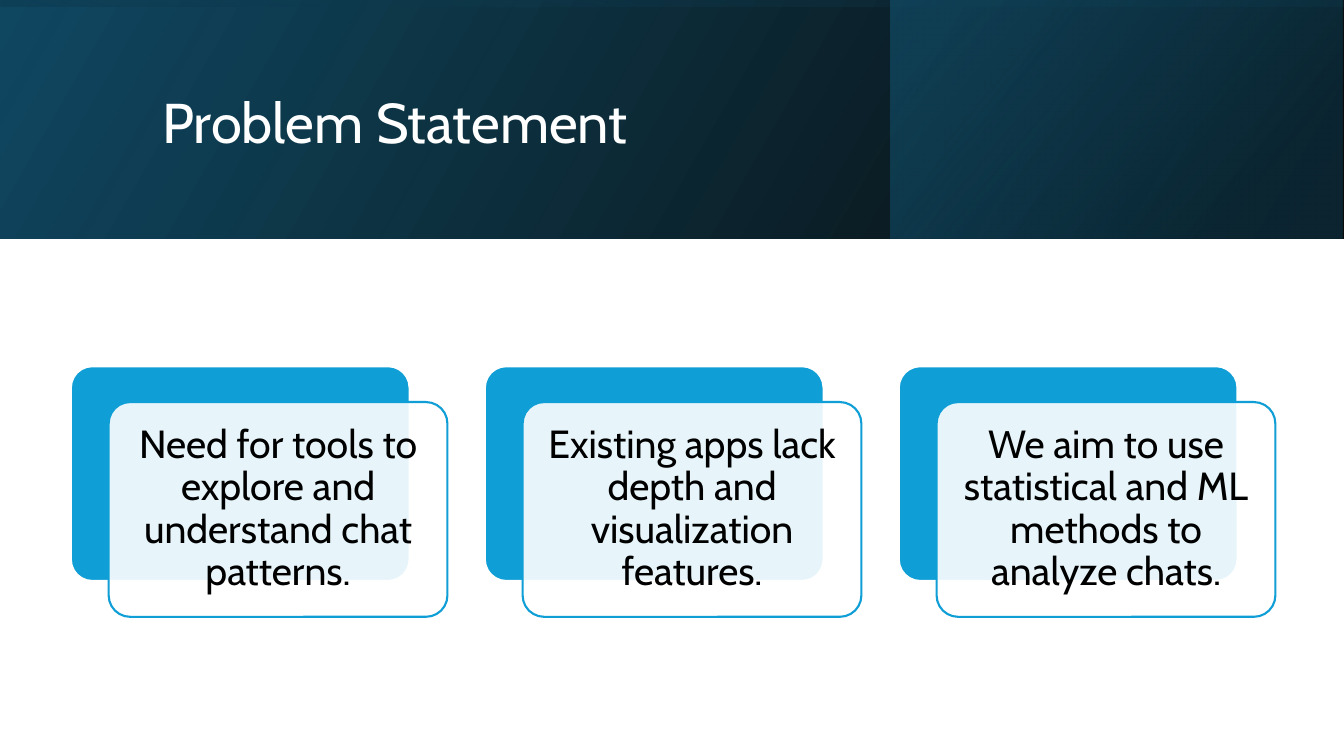
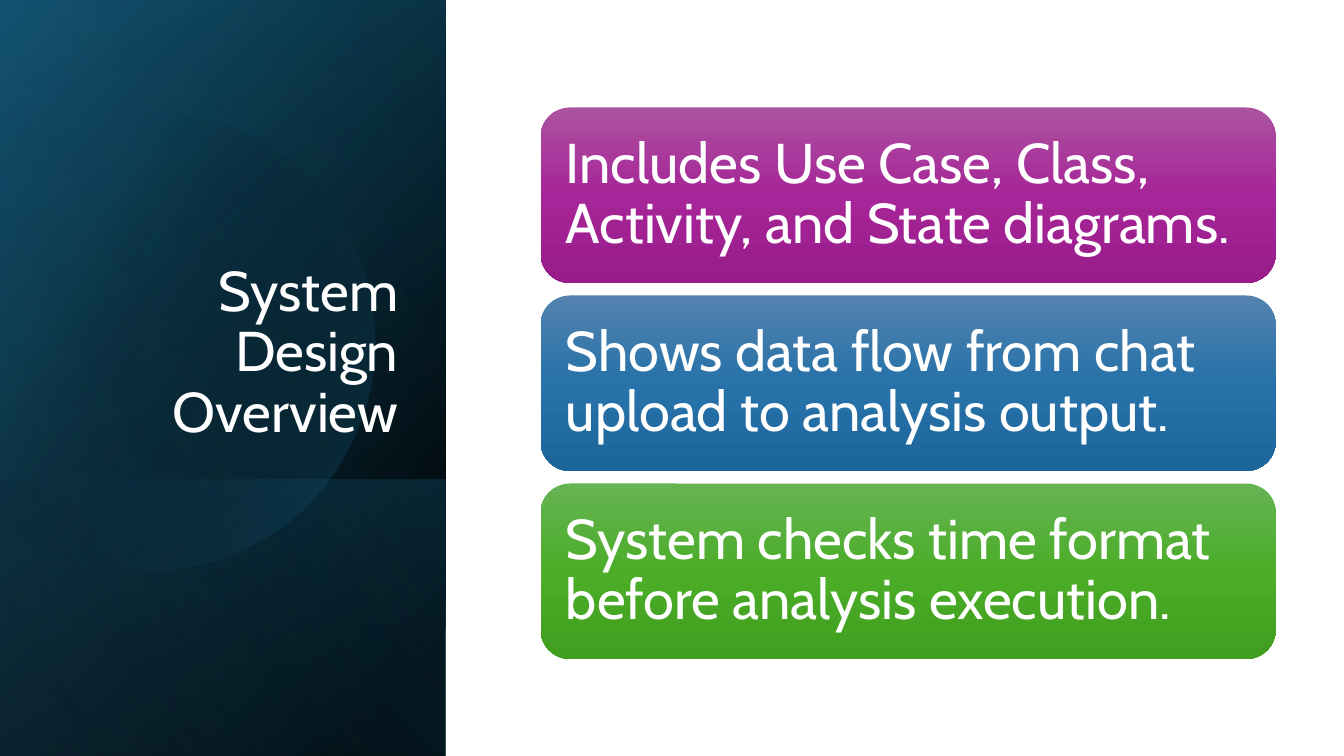
from lxml.etree import SubElement
from pptx import Presentation
from pptx.dml.color import RGBColor
from pptx.enum.shapes import MSO_SHAPE
from pptx.enum.text import MSO_ANCHOR, MSO_AUTO_SIZE, PP_ALIGN
from pptx.oxml.ns import qn
from pptx.util import Pt

SLIDE_W, SLIDE_H = 960, 540
FONT = "Cabin"
WHITE, BLACK, SKY = "FFFFFF", "000000", "0F9ED5"
NAVY, TEAL, LIGHT_BLUE = "104862", "156082", "46B1E1"
BAND_H = 170.6
SIDE_W = 318.3
SIDE = (0, 0, SIDE_W, SLIDE_H)

# Gradient stops: (position %, colour, opacity %)
# Panels: (visible box, rotation, gradient angle, stops)
BAND_PANELS = [
    ((0, 0, SLIDE_W, BAND_H), 0, 330, [(0, BLACK, 96), (100, NAVY, 100)]),
    ((636.2, 0, 323, BAND_H), 0, 320, [(19, "0B3041", 68), (100, TEAL, 48)]),
    ((0, 0, SLIDE_W, BAND_H), 270, 350, [(23, NAVY, 16), (99, BLACK, 45)]),
]
SIDE_PANELS = [
    (SIDE, 90, 50, [(8, BLACK, 100), (100, NAVY, 100)]),
    (SIDE, 90, 30, [(0, BLACK, 0), (99, TEAL, 46)]),
    ((0, 342.6, SIDE_W, 197.4), 90, 130, [(2, TEAL, 29), (100, BLACK, 30)]),
]
SIDE_GLOW = (SIDE, 90, 120, [(0, BLACK, 0), (99, LIGHT_BLUE, 11)])

DISC_START = (107.3, 79.2)
# Each segment is a cubic curve (three points) or a straight line (one point)
DISC_SEGMENTS = [
    [(177.1, 80.6), (241.2, 127.4), (261.4, 198)],
    [(286.6, 285.8), (236.2, 376.6), (149, 401.8)],
    [(94.3, 417.6), (38.2, 403.9), (-2.2, 370.1)],
    [(-10.8, 362.2)],
    [(-10.8, 126)],
    [(0, 115.9)],
    [(16.6, 102.2), (36, 92.2), (57.6, 85.7)],
    [(74.2, 81.4), (90.7, 79.2), (107.3, 79.2)],
]
DISC_STOPS = [(29, BLACK, 0), (100, TEAL, 43)]

PROBLEMS = [
    "Need for tools to explore and understand chat patterns.",
    "Existing apps lack depth and visualization features.",
    "We aim to use statistical and ML methods to analyze chats.",
]
DESIGN_POINTS = [
    ("Includes Use Case, Class, Activity, and State diagrams.",
     ("AC53A0", "A62598", "991C8B")),
    ("Shows data flow from chat upload to analysis output.",
     ("5382AF", "2772A9", "1D669C")),
    ("System checks time format before analysis execution.",
     ("66B354", "4BAD28", "409F1E")),
]


def rgb(color):
    return RGBColor.from_string(color)


def set_alpha(color_element, percent):
    SubElement(color_element, qn("a:alpha")).set("val", str(percent * 1000))


def fill_gradient(shape, stops, angle):
    shape.fill.gradient()
    gradient = shape._element.spPr.find(qn("a:gradFill"))
    stop_list = gradient.find(qn("a:gsLst"))
    for old_stop in list(stop_list):
        stop_list.remove(old_stop)
    for position, color, opacity in stops:
        stop = SubElement(stop_list, qn("a:gs"))
        stop.set("pos", str(position * 1000))
        color_element = SubElement(stop, qn("a:srgbClr"))
        color_element.set("val", color)
        if opacity < 100:
            set_alpha(color_element, opacity)
    gradient.find(qn("a:lin")).set("ang", str(angle * 60000))


def strip_style(shape):
    shape.shadow.inherit = False
    shape.line.fill.background()


def add_box(slide, kind, box):
    shape = slide.shapes.add_shape(kind, *(Pt(v) for v in box))
    strip_style(shape)
    return shape


def add_panel(slide, box, rotation, angle, stops):
    """Add a mirrored gradient rectangle that covers box once it is rotated."""
    left, top, width, height = box
    if rotation % 180:
        left, top = left + (width - height) / 2, top + (height - width) / 2
        width, height = height, width
    panel = add_box(slide, MSO_SHAPE.RECTANGLE, (left, top, width, height))
    panel.rotation = rotation
    panel._element.spPr.find(qn("a:xfrm")).set("flipH", "1")
    fill_gradient(panel, stops, angle)


def curve_points(start, segment, steps=16):
    if len(segment) == 1:
        return segment
    points = []
    for step in range(1, steps + 1):
        t = step / steps
        weights = ((1 - t) ** 3, 3 * t * (1 - t) ** 2, 3 * t * t * (1 - t), t ** 3)
        points.append(tuple(sum(w * p[axis] for w, p in zip(weights, [start, *segment]))
                            for axis in (0, 1)))
    return points


def add_disc(slide):
    points = [DISC_START]
    for segment in DISC_SEGMENTS:
        points += curve_points(points[-1], segment)
    builder = slide.shapes.build_freeform(*points[0], scale=float(Pt(1)))
    builder.add_line_segments(points[1:], close=True)
    disc = builder.convert_to_shape()
    strip_style(disc)
    fill_gradient(disc, DISC_STOPS, 30)


def write(shape, text, size, color, align, anchor=MSO_ANCHOR.MIDDLE, margin=None):
    frame = shape.text_frame
    frame.text = text
    frame.word_wrap = True
    frame.auto_size = MSO_AUTO_SIZE.NONE
    frame.vertical_anchor = anchor
    if margin is not None:
        frame.margin_left = frame.margin_right = Pt(margin)
        frame.margin_top = frame.margin_bottom = Pt(margin)
    paragraph = frame.paragraphs[0]
    paragraph.alignment = align
    paragraph.line_spacing = 0.9
    paragraph.font.name = FONT
    paragraph.font.size = Pt(size)
    paragraph.font.color.rgb = rgb(color)


def place_title(slide, text, box, align, anchor):
    title = slide.shapes.title
    title.left, title.top, title.width, title.height = (Pt(v) for v in box)
    write(title, text, 40, WHITE, align, anchor)
    slide.shapes._spTree.append(title._element)  # in front of the panels


def add_problem_card(slide, left, text):
    top, width, height = 261.6, 242, 153.4
    back = add_box(slide, MSO_SHAPE.ROUNDED_RECTANGLE, (left, top, width, height))
    front = add_box(slide, MSO_SHAPE.ROUNDED_RECTANGLE,
                    (left + 27, top + 25.6, width, height))
    for card, fill, line in ((back, SKY, WHITE), (front, WHITE, SKY)):
        card.adjustments[0] = 0.1
        card.fill.solid()
        card.fill.fore_color.rgb = rgb(fill)
        card.line.color.rgb = rgb(line)
        card.line.width = Pt(1.5)
    set_alpha(front._element.spPr.find(qn("a:solidFill"))[0], 90)
    write(front, text, 28, BLACK, PP_ALIGN.CENTER, margin=8.4)


def build_problem_slide(slide):
    for panel in BAND_PANELS:
        add_panel(slide, *panel)
    place_title(slide, "Problem Statement", (108.7, 27.4, 765.4, 123.8),
                PP_ALIGN.LEFT, MSO_ANCHOR.MIDDLE)
    for column, text in enumerate(PROBLEMS):
        add_problem_card(slide, 50.6 + column * 295.7, text)


def build_design_slide(slide):
    for panel in SIDE_PANELS:
        add_panel(slide, *panel)
    add_disc(slide)
    add_panel(slide, *SIDE_GLOW)
    place_title(slide, "System Design Overview", (46.1, 132.5, 245.5, 188.6),
                PP_ALIGN.RIGHT, MSO_ANCHOR.BOTTOM)
    height, gap = 125.3, 9
    for row, (text, shades) in enumerate(DESIGN_POINTS):
        bar = add_box(slide, MSO_SHAPE.ROUNDED_RECTANGLE,
                      (386.2, 76.8 + row * (height + gap), 525, height))
        fill_gradient(bar, [(i * 50, shade, 100) for i, shade in enumerate(shades)], 90)
        write(bar, text, 40, WHITE, PP_ALIGN.LEFT, margin=12)


def main():
    deck = Presentation()
    deck.slide_width, deck.slide_height = Pt(SLIDE_W), Pt(SLIDE_H)
    title_only = deck.slide_layouts[5]
    for build in (build_problem_slide, build_design_slide):
        build(deck.slides.add_slide(title_only))
    deck.save("out.pptx")


if __name__ == "__main__":
    main()
